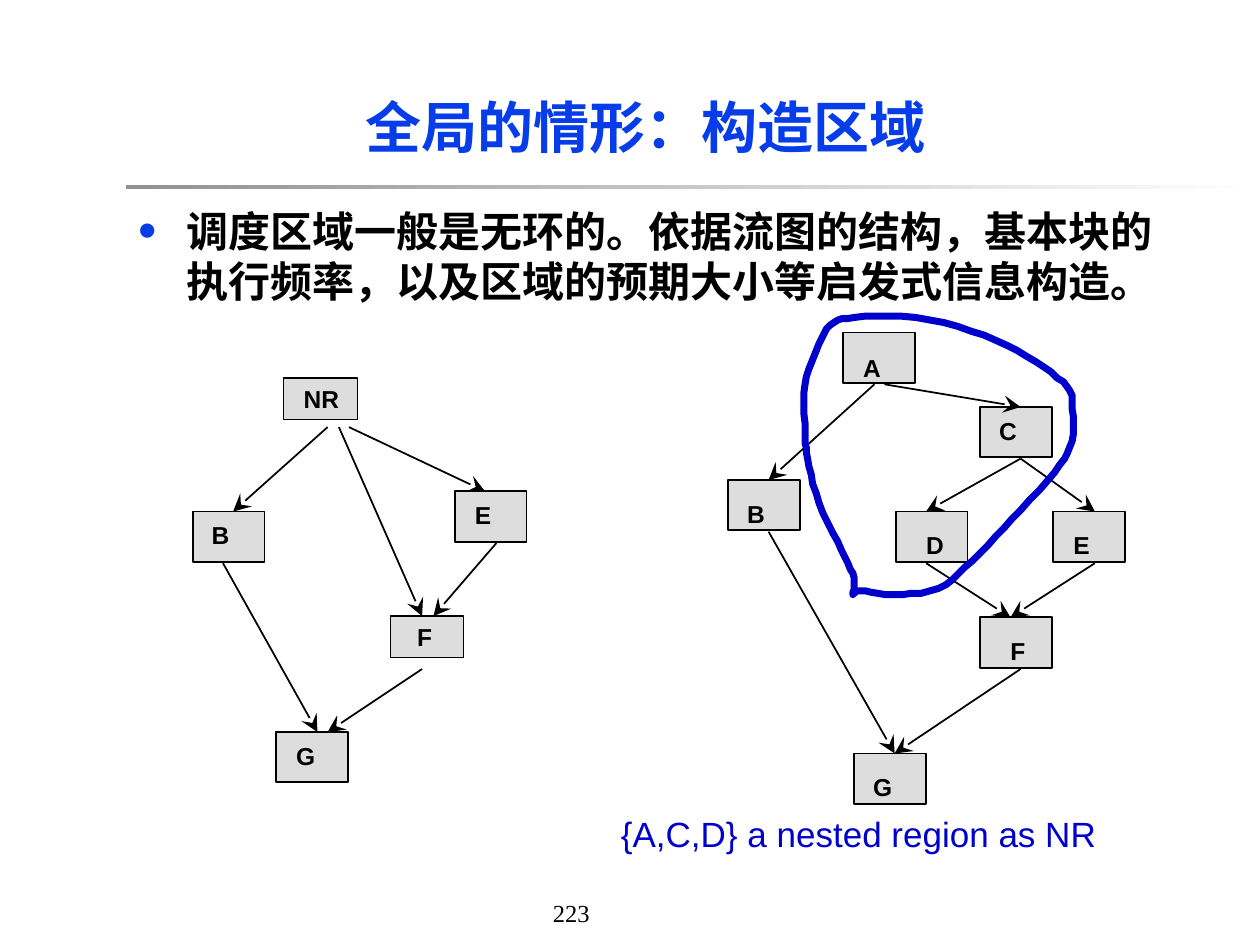
"""Build a slide on forming scheduling regions from a flow graph."""
from collections import namedtuple

from lxml import etree
from pptx import Presentation
from pptx.dml.color import RGBColor
from pptx.enum.shapes import MSO_CONNECTOR, MSO_SHAPE
from pptx.enum.text import MSO_ANCHOR, PP_ALIGN
from pptx.oxml.ns import qn
from pptx.util import Emu, Pt

PX = 9144
RECT = MSO_SHAPE.RECTANGLE
LINE = MSO_CONNECTOR.STRAIGHT
TOP, MIDDLE = MSO_ANCHOR.TOP, MSO_ANCHOR.MIDDLE
LEFT, CENTER = PP_ALIGN.LEFT, PP_ALIGN.CENTER
BLACK = RGBColor(0x00, 0x00, 0x00)
WHITE = RGBColor(0xFF, 0xFF, 0xFF)
GRAY = RGBColor(0x91, 0x91, 0x91)
PALE = RGBColor(0xDD, 0xDD, 0xDD)
BLUE = RGBColor(0x06, 0x3D, 0xE8)
NAVY = RGBColor(0x00, 0x00, 0xCC)
SANS, SERIF = "Arial", "Times New Roman"


def px(*nums):
    return [Emu(num * PX) for num in nums]


def write(shape, text, size=14, font=SANS, color=BLACK, bold=False,
          align=LEFT, anchor=TOP, inset=(10, 5, 10, 5), bullet=False):
    frame = shape.text_frame
    frame.word_wrap = True
    frame.vertical_anchor = anchor
    (frame.margin_left, frame.margin_top,
     frame.margin_right, frame.margin_bottom) = px(*inset)
    para = frame.paragraphs[0]
    para.alignment = align
    if bullet:
        props = para._p.get_or_add_pPr()
        props.set("marL", str(38 * PX))
        props.set("indent", str(-38 * PX))
        tint = etree.SubElement(props, qn("a:buClr"))
        etree.SubElement(tint, qn("a:srgbClr"), val=str(BLUE))
        etree.SubElement(props, qn("a:buSzPct"), val="125000")
        etree.SubElement(props, qn("a:buFont"), typeface=SANS)
        etree.SubElement(props, qn("a:buChar"), char="•")
    run = para.add_run()
    run.text = text
    run.font.size = Pt(size)
    run.font.name = font
    run.font.bold = bold
    run.font.color.rgb = color


deck = Presentation()
deck.slide_width, deck.slide_height = px(1000, 750)
slide = deck.slides.add_slide(deck.slide_layouts[6])
shapes = slide.shapes

rule = shapes.add_shape(RECT, *px(100, 147, 900, 3))
rule.shadow.inherit = False
rule.line.fill.background()
rule.fill.gradient()
rule.fill.gradient_angle = 0
for stop, color in zip(rule.fill.gradient_stops, (GRAY, WHITE)):
    stop.color.rgb = color

write(shapes.add_textbox(*px(100, 50, 825, 100)), "全局的情形：构造区域",
      size=32, font=SERIF, color=BLUE, bold=True, align=CENTER, anchor=MIDDLE)
write(shapes.add_textbox(*px(100, 158, 825, 517)),
      "调度区域一般是无环的。依据流图的结构，基本块的执行频率，以及区域的预期大小等启发式信息构造。",
      size=24, font=SERIF, bold=True, bullet=True)

Block = namedtuple("Block", "x y left top wide high weight gap",
                   defaults=(57, 40, 1, 1))
Edge = namedtuple("Edge", "start end leave enter")

merged = {
    "NR": Block(225, 300, 16, 5, 59, 33, 0.75, 6),
    "B": Block(153, 406, 15, 7),
    "E": Block(361, 390, 16, 7),
    "F": Block(310, 489, 21, 5, 58, 33, 0.75, 9),
    "G": Block(219, 581, 16, 7),
}
merged_edges = [
    Edge("NR", "B", 6, 4), Edge("NR", "E", 23, -4), Edge("NR", "F", 15, -4),
    Edge("B", "G", -4, 5), Edge("F", "G", -4, 13), Edge("E", "F", 5, 5),
]
full = {
    "A": Block(669, 264, 16, 16),
    "B": Block(578, 381, 15, 15),
    "C": Block(778, 323, 15, 7),
    "D": Block(711, 406, 24, 15),
    "E": Block(836, 406, 16, 15),
    "F": Block(778, 490, 24, 15),
    "G": Block(678, 598, 15, 15),
}
full_edges = [
    Edge("A", "C", 5, 4), Edge("A", "B", -3, 4), Edge("B", "G", 4, 4),
    Edge("C", "D", 4, -4), Edge("C", "E", 4, 5), Edge("D", "F", -4, -4),
    Edge("E", "F", 5, -4), Edge("F", "G", 4, 4),
]

for blocks, edges in ((merged, merged_edges), (full, full_edges)):
    for name, block in blocks.items():
        box = shapes.add_shape(RECT, *px(block.x, block.y, block.wide, block.high))
        box.shadow.inherit = False
        box.fill.solid()
        box.fill.fore_color.rgb = PALE
        box.line.color.rgb = BLACK
        box.line.width = Pt(block.weight)
        write(box, name, bold=True, inset=(block.left, block.top, 0, 0))
    for edge in edges:
        start, end = blocks[edge.start], blocks[edge.end]
        arrow = shapes.add_connector(LINE, *px(
            start.x + start.wide // 2 + edge.leave, start.y + start.high + start.gap,
            end.x + end.wide // 2 + edge.enter, end.y))
        arrow.line.color.rgb = BLACK
        arrow.line.width = Pt(1)
        etree.SubElement(arrow.line._get_or_add_ln(), qn("a:tailEnd"),
                         type="stealth", w="lg", len="lg")
        etree.SubElement(arrow._element.spPr, qn("a:effectLst"))

TIP = (677, 472)
left_side = [(678, 459), (668, 437), (650, 399), (641, 364), (639, 343), (639, 305)]
top_side = [(648, 278), (659, 258), (678, 252), (727, 252), (781, 266), (822, 287)]
right_side = [(847, 307), (851, 320), (851, 350), (837, 375)]
low_side = [(803, 412), (772, 445), (745, 467), (709, 472), (683, 469)]
knots = [TIP, *left_side, *top_side, *right_side, *low_side, TIP]

STEPS = 5
padded = [TIP, *knots, TIP]
curve = []
for four in zip(padded, padded[1:], padded[2:], padded[3:]):
    for step in range(STEPS):
        t = step / STEPS
        curve.append([
            b + t * (c - a) / 2 + t**2 * (2*a - 5*b + 4*c - d) / 2
            + t**3 * (3*b - a - 3*c + d) / 2
            for a, b, c, d in zip(*four)])

pen = shapes.build_freeform(*curve[0], scale=PX)
pen.add_line_segments(curve[1:], close=True)
region = pen.convert_to_shape()
region.shadow.inherit = False
region.fill.background()
region.line.color.rgb = NAVY
region.line.width = Pt(4)
etree.SubElement(region.line._get_or_add_ln(), qn("a:round"))

write(shapes.add_textbox(*px(483, 640, 410, 44)), "{A,C,D} a nested region as NR",
      size=20, color=NAVY)
write(shapes.add_textbox(*px(429, 708, 102, 33)), "223", font=SERIF)

deck.save("out.pptx")
